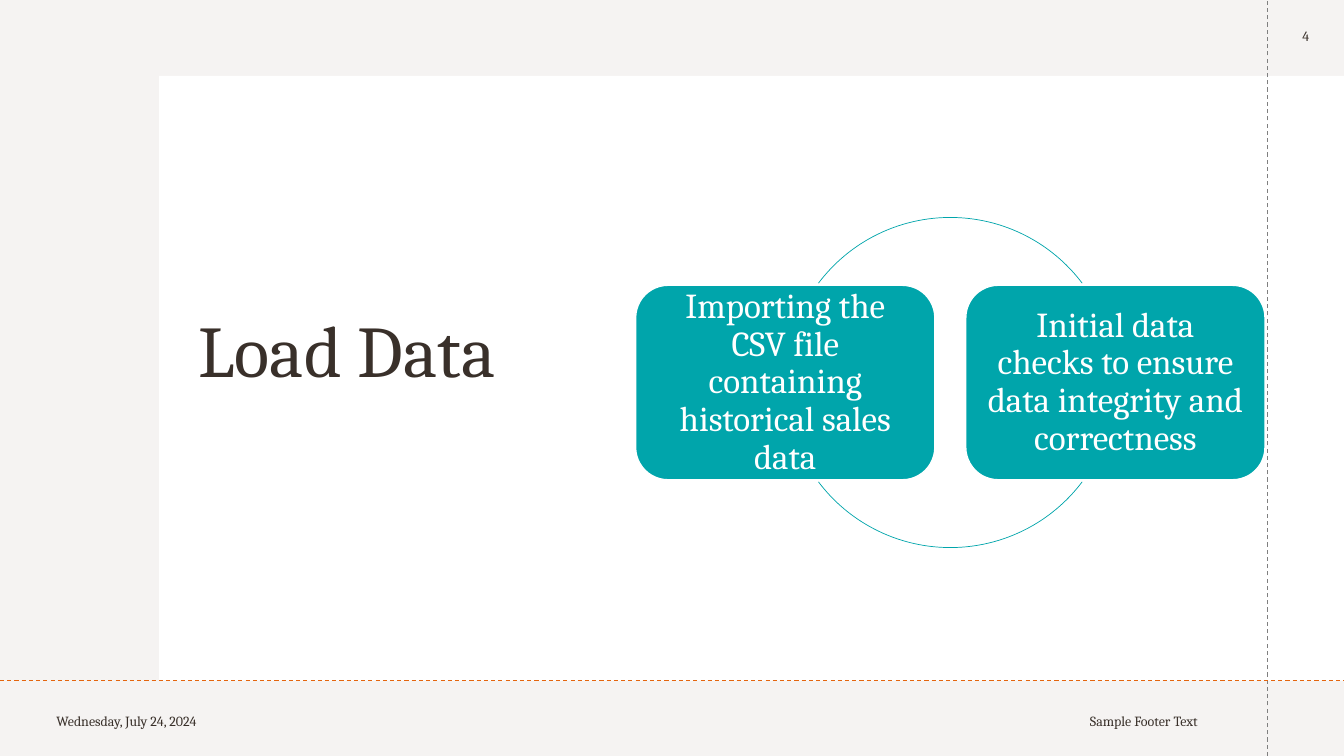
from dataclasses import dataclass

from lxml import etree
from pptx import Presentation
from pptx import util as u
from pptx.dml.color import RGBColor
from pptx.enum import dml, shapes, text
from pptx.oxml.ns import qn

SHAPE = shapes.MSO_SHAPE
ALIGN = text.PP_ALIGN


@dataclass(frozen=True)
class Theme:
    font: str = "Cambria"
    paper: str = "FFFFFF"
    tint: str = "E5DEDB"
    ink: str = "39302A"
    teal: str = "00A5AB"
    orange: str = "E4650E"
    gray: str = "7F7F7F"
    title: float = 52
    card: float = 25
    small: float = 10


class Page:
    def __init__(self, deck, theme):
        self.theme = theme
        self.slide = deck.slides.add_slide(deck.slide_layouts[5])
        self.items = self.slide.shapes

    def letter(self, shape, words, size, color, align, line=None, after=None):
        frame = shape.text_frame
        frame.text = words
        frame.word_wrap = True
        frame.auto_size = text.MSO_AUTO_SIZE.NONE
        frame.vertical_anchor = text.MSO_ANCHOR.MIDDLE
        para = frame.paragraphs[0]
        para.alignment = align
        para.line_spacing = line
        para.space_after = after
        font = para.runs[0].font
        font.name = self.theme.font
        font.size = u.Pt(size)
        font.color.rgb = RGBColor.from_string(color)

    def shape(self, kind, box, fill=None, line=None, width=1):
        item = self.items.add_shape(kind, *map(u.Cm, box))
        item.shadow.inherit = False
        if fill:
            item.fill.solid()
            item.fill.fore_color.rgb = RGBColor.from_string(fill)
        else:
            item.fill.background()
        if line:
            item.line.color.rgb = RGBColor.from_string(line)
            item.line.width = u.Pt(width)
        else:
            item.line.fill.background()
        return item

    def panel(self, box, fill, alpha=None):
        item = self.shape(SHAPE.RECTANGLE, box, fill)
        if alpha:
            color = next(item.element.iter(qn("a:srgbClr")))
            etree.SubElement(color, qn("a:alpha")).set("val", str(alpha * 1000))

    def title(self, words, box):
        item = self.items.title
        item.left, item.top, item.width, item.height = map(u.Cm, box)
        item.element.getparent().append(item.element)
        self.letter(item, words, self.theme.title, self.theme.ink, ALIGN.LEFT, 0.9)

    def label(self, words, box, align):
        item = self.items.add_textbox(*map(u.Cm, box))
        self.letter(item, words, self.theme.small, self.theme.ink, align, after=u.Pt(6))

    def dash(self, start, end, color):
        item = self.items.add_connector(
            shapes.MSO_CONNECTOR.STRAIGHT, *map(u.Cm, start + end))
        item.line.color.rgb = RGBColor.from_string(color)
        item.line.width = u.Pt(0.75)
        item.line.dash_style = dml.MSO_LINE.DASH
        etree.SubElement(item.element.spPr, qn("a:effectLst"))

    def card(self, words, box):
        item = self.shape(SHAPE.ROUNDED_RECTANGLE, box, self.theme.teal, self.theme.paper)
        self.letter(item, words, self.theme.card, self.theme.paper, ALIGN.CENTER, 0.9)
        frame = item.text_frame
        frame.margin_left = frame.margin_right = u.Cm(0.25)
        frame.margin_top = frame.margin_bottom = u.Cm(0.25)

    def arc(self, box, start, end):
        item = self.shape(SHAPE.ARC, box, line=self.theme.teal, width=0.5)
        for spot, angle in enumerate((start, end)):
            item.adjustments[spot] = angle * 0.6


def main():
    wide, high = 33.87, 19.05
    deck = Presentation()
    deck.slide_width, deck.slide_height = u.Cm(wide), u.Cm(high)
    theme = Theme()
    page = Page(deck, theme)

    page.panel((0, 0, wide, high), theme.paper)
    page.panel((0, 0, wide, high), theme.tint, 35)
    page.panel((4.01, 1.91, wide - 4.01, 15.24), theme.paper)
    page.title("Load Data", (4.75, 2.62, 10.52, 12.62))
    page.label("4", (31.95, -0.05, 1.91, 1.91), ALIGN.CENTER)
    page.label("Wednesday, July 24, 2024", (1.17, 17.27, 7.62, 1.78), ALIGN.LEFT)
    page.label("Sample Footer Text", (19, 17.27, 11.43, 1.78), ALIGN.RIGHT)
    page.dash((31.93, high), (31.93, 0), theme.gray)
    page.dash((0, 17.15), (wide, 17.15), theme.orange)

    ring = (19.79, 5.48, 8.32, 8.32)
    steps = (
        ("Importing the CSV file containing historical sales data", 217),
        ("Initial data checks to ensure data integrity and correctness", 37),
    )
    for spot, (words, angle) in enumerate(steps):
        page.card(words, (16.02 + spot * 8.32, 7.19, 7.54, 4.9))
        page.arc(ring, angle, angle + 106)

    deck.save("out.pptx")


if __name__ == "__main__":
    main()
